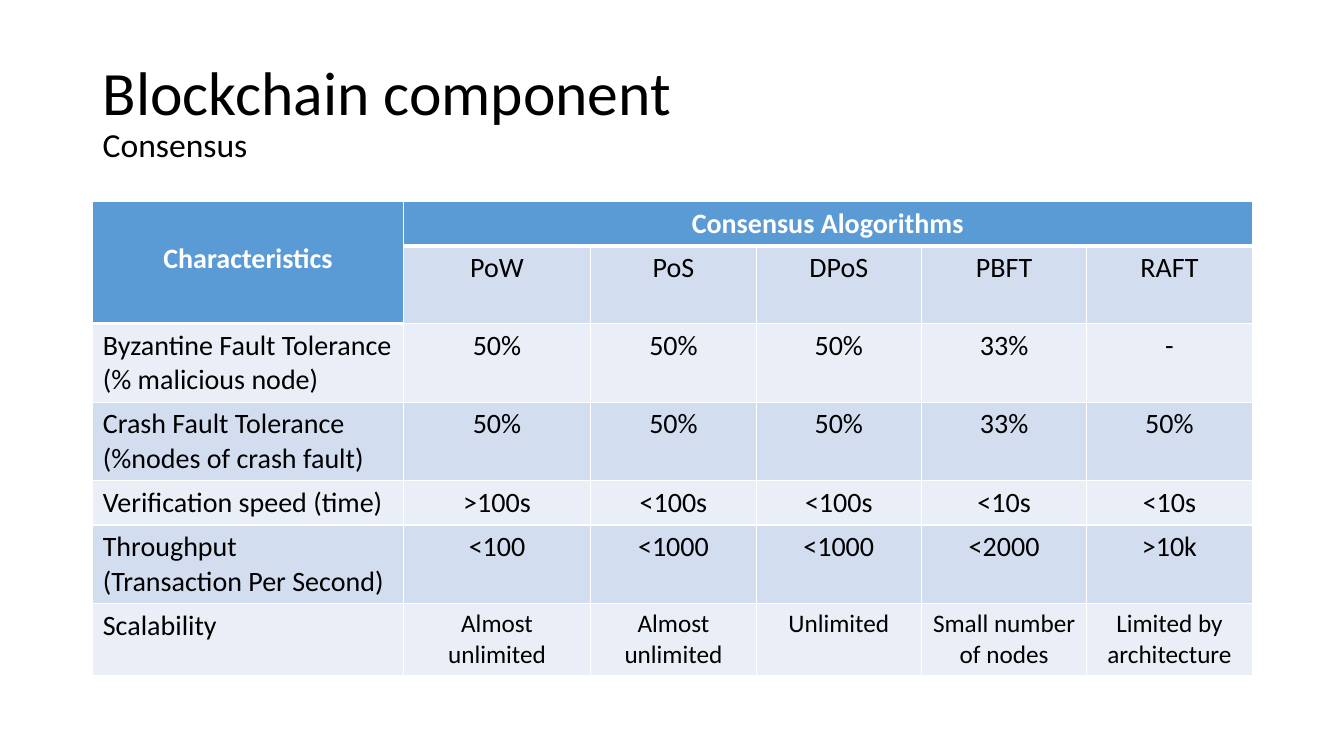
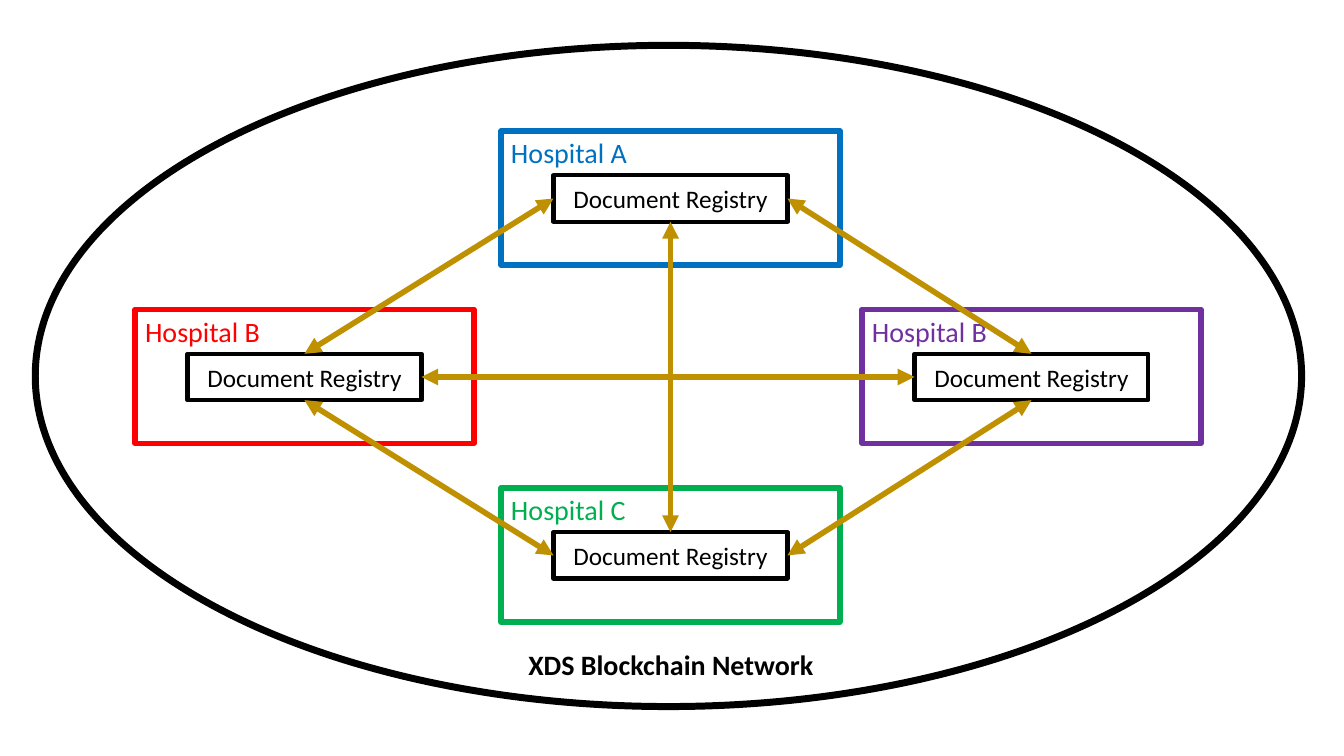
from pptx import Presentation
from pptx.dml.color import RGBColor as Rgb
from pptx.enum.shapes import MSO_CONNECTOR as Link, MSO_SHAPE as Kind
from pptx.enum.text import MSO_ANCHOR as Anchor, PP_ALIGN as Align
from pptx.oxml import parse_xml
from pptx.oxml.ns import nsdecls
from pptx.util import Inches, Pt
from lxml.etree import SubElement
from pptx.oxml.ns import qn

FONT = "Calibri"
HEX = {
    "black": "000000", "white": "FFFFFF", "head": "5B9BD5",
    "dark": "D2DEEF", "light": "EAEFF7", "gold": "BF9000",
    "blue": "0070C0", "red": "FF0000", "green": "00B050", "purple": "7030A0",
}


def write(frame, text, size, color="black", bold=False, align=Align.LEFT):
    """Fill a text frame, one paragraph a line."""
    frame.word_wrap = True
    frame.text = text
    for para in frame.paragraphs:
        para.alignment = align
        font = para.font
        font.name, font.size, font.bold = FONT, Pt(size), bold
        font.color.rgb = Rgb.from_string(HEX[color])


def outline(shapes, kind, left, top, width, height, color=None, weight=0):
    """Add an unfilled shape, with a line if a colour is given."""
    shape = shapes.add_shape(kind, Inches(left), Inches(top),
                             Inches(width), Inches(height))
    shape.shadow.inherit = False
    shape.fill.background()
    if color:
        shape.line.color.rgb = Rgb.from_string(HEX[color])
        shape.line.width = Pt(weight)
    else:
        shape.line.fill.background()
    return shape


deck = Presentation()
deck.slide_width, deck.slide_height = Inches(13.33), Inches(7.5)
blank = deck.slide_layouts[6]

# Slide 1: title
slide = deck.slides.add_slide(blank)
title = slide.shapes.add_textbox(Inches(0.92), Inches(0.4),
                                 Inches(11.5), Inches(1.45)).text_frame
title.vertical_anchor = Anchor.MIDDLE
write(title, "Blockchain component\vConsensus", 44)
para = title.paragraphs[0]
para.line_spacing = 0.9
para.runs[1].font.size = Pt(24)

# Slide 1: table of consensus algorithms
rows = [
    ["Characteristics", "Consensus Alogorithms", "", "", "", ""],
    ["", "PoW", "PoS", "DPoS", "PBFT", "RAFT"],
    ["Byzantine Fault Tolerance\n(% malicious node)",
     "50%", "50%", "50%", "33%", "-"],
    ["Crash Fault Tolerance\n(%nodes of crash fault)",
     "50%", "50%", "50%", "33%", "50%"],
    ["Verification speed (time)", ">100s", "<100s", "<100s", "<10s", "<10s"],
    ["Throughput\n(Transaction Per Second)",
     "<100", "<1000", "<1000", "<2000", ">10k"],
    ["Scalability", "Almost\nunlimited", "Almost unlimited", "Unlimited",
     "Small number of nodes", "Limited by architecture"],
]
widths = [3.08, 1.86] + [1.64] * 4
heights = [0.44, 0.77, 0.78, 0.78, 0.44, 0.78, 0.71]
table = slide.shapes.add_table(
    len(rows), len(widths), Inches(0.92), Inches(2),
    Inches(sum(widths)), Inches(sum(heights))).table
for col, width in zip(table.columns, widths):
    col.width = Inches(width)
for row, height in zip(table.rows, heights):
    row.height = Inches(height)

for r, row in enumerate(rows):
    for c, text in enumerate(row):
        cell = table.cell(r, c)
        head = r == 0 or (r == 1 and c == 0)
        size = 18 if r == len(rows) - 1 and c else 20
        write(cell.text_frame, text, size, "white" if head else "black", head,
              Align.CENTER if c or head else Align.LEFT)
        # Borders come before the fill
        for side in "LRTB":
            weight = 3 if head and side == "B" else 1
            cell._tc.get_or_add_tcPr().append(parse_xml(
                f'<a:ln{side} {nsdecls("a")} w="{Pt(weight)}"><a:solidFill>'
                f'<a:srgbClr val="{HEX["white"]}"/></a:solidFill></a:ln{side}>'))
        cell.fill.solid()
        band = "head" if head else "dark" if r % 2 else "light"
        cell.fill.fore_color.rgb = Rgb.from_string(HEX[band])

corner = table.cell(0, 0)
corner.merge(table.cell(1, 0))
corner.vertical_anchor = Anchor.MIDDLE
corner.margin_bottom = Inches(0.13)
table.cell(0, 1).merge(table.cell(0, 5))

# Slide 2: network outline
slide = deck.slides.add_slide(blank)
outline(slide.shapes, Kind.OVAL, 0.35, 0.45, 12.56, 6.56, "black", 5)

# Slide 2: hospitals, each with its registry
sites = [
    ("north", "Hospital A", "blue", 4.97, 1.3),
    ("west", "Hospital B", "red", 1.34, 3.07),
    ("south", "Hospital C", "green", 4.97, 4.84),
    ("east", "Hospital B", "purple", 8.55, 3.07),
]
nodes = {}
for place, name, color, left, top in sites:
    group = slide.shapes.add_group_shape()
    box = outline(group.shapes, Kind.RECTANGLE, left, top, 3.36, 1.33, color, 4)
    box.text_frame.vertical_anchor = Anchor.TOP
    write(box.text_frame, name, 20, color)
    node = outline(group.shapes, Kind.RECTANGLE, left + 0.52, top + 0.44,
                   2.32, 0.46, "black", 3)
    node.text_frame.vertical_anchor = Anchor.MIDDLE
    write(node.text_frame, "Document Registry", 18, align=Align.CENTER)
    nodes[place] = node

# Slide 2: arrows between the sides of the registries
TOP, LEFT, BOTTOM, RIGHT = range(4)
links = [
    ("west", TOP, "north", LEFT),
    ("west", BOTTOM, "south", LEFT),
    ("south", TOP, "north", BOTTOM),
    ("west", RIGHT, "east", LEFT),
    ("east", TOP, "north", RIGHT),
    ("south", RIGHT, "east", BOTTOM),
]
for start, out, end, into in links:
    arrow = slide.shapes.add_connector(Link.STRAIGHT, 0, 0, 0, 0)
    arrow.begin_connect(nodes[start], out)
    arrow.end_connect(nodes[end], into)
    arrow.line.color.rgb = Rgb.from_string(HEX["gold"])
    arrow.line.width = Pt(4)
    for tip in ("a:headEnd", "a:tailEnd"):
        SubElement(arrow.line._get_or_add_ln(), qn(tip), type="triangle")
    SubElement(arrow._element.spPr, qn("a:effectLst"))

# Slide 2: network name
label = outline(slide.shapes, Kind.OVAL, 2.79, 6.27, 7.73, 0.65)
label.text_frame.vertical_anchor = Anchor.MIDDLE
write(label.text_frame, "XDS Blockchain Network", 20, bold=True,
      align=Align.CENTER)

deck.save("out.pptx")
